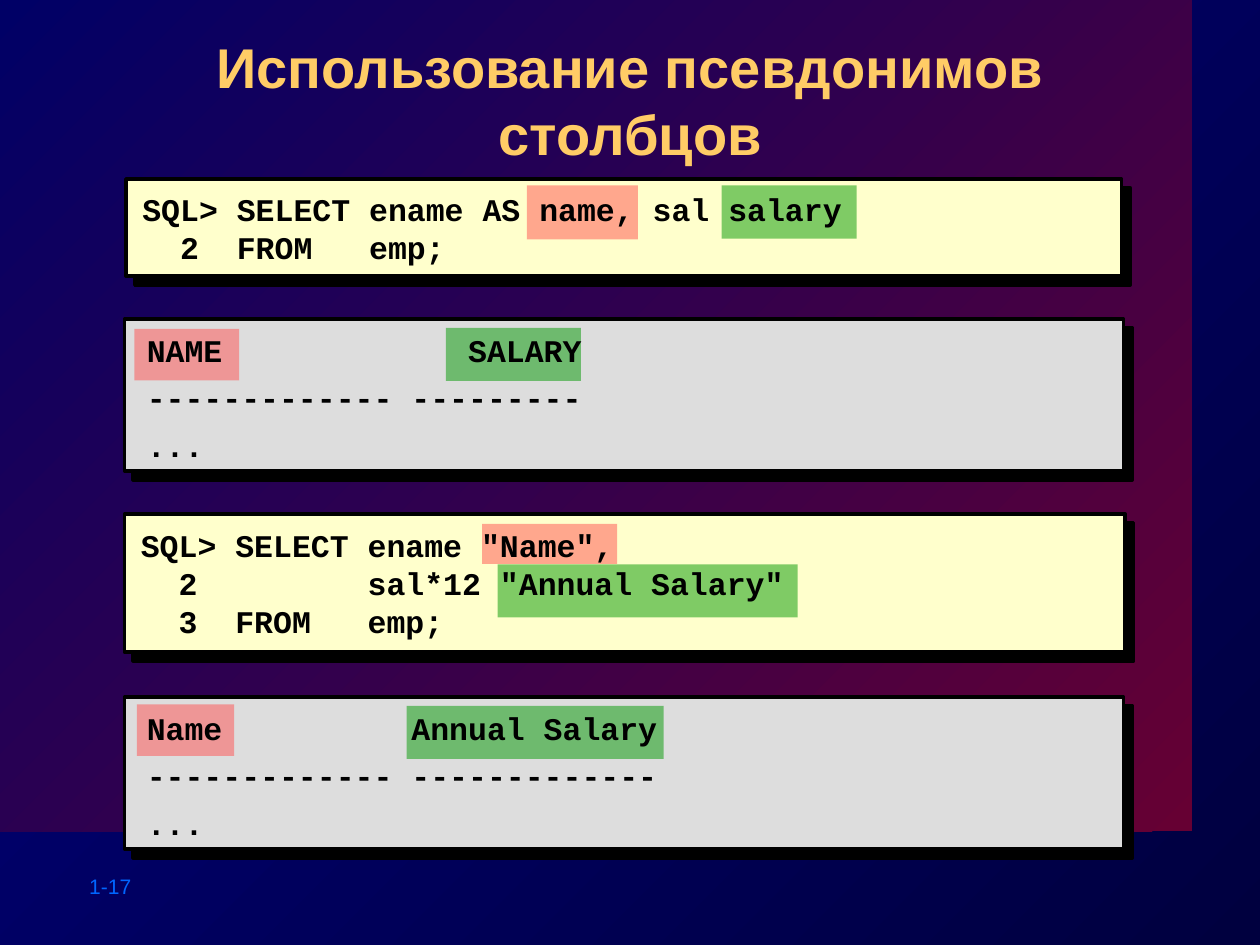
from dataclasses import dataclass

from lxml import etree
from pptx import Presentation
from pptx import util as u
from pptx.dml import color
from pptx.enum import shapes, text
from pptx.oxml import ns


@dataclass(frozen=True)
class Theme:
    night: tuple = ("00003F", "000080")
    wine: tuple = ("660033", "000066")
    code: str = "FFFFCC"
    result: str = "DDDDDD"
    ink: str = "000000"
    title: str = "FFCC66"
    number: str = "0066FF"
    red: str = "FF5050"
    green: str = "009900"
    sans: str = "Arial"
    mono: str = "Courier New"
    title_size: int = 32
    code_size: int = 18
    number_size: int = 12


THEME = Theme()
CODE_FONT = {"name": THEME.mono, "size": u.Pt(THEME.code_size), "bold": True}
TITLE_FONT = {"name": THEME.sans, "size": u.Pt(THEME.title_size), "bold": True}
NUMBER_FONT = {"name": THEME.sans, "size": u.Pt(THEME.number_size), "bold": False}
CODE_FRAME = {"word_wrap": False, "vertical_anchor": text.MSO_ANCHOR.MIDDLE}
RESULT_FRAME = {"word_wrap": False, "auto_size": text.MSO_AUTO_SIZE.SHAPE_TO_FIT_TEXT}


def rgb(value):
    return color.RGBColor.from_string(value)


def apply(target, values):
    for key, value in values.items():
        setattr(target, key, value)


def inside(box, part):
    return box[0] + part[0], box[1] + part[1], part[2], part[3]


def paint_gradient(fill, tones):
    fill.gradient()
    fill.gradient_angle = 135
    for stop, tone in zip(fill.gradient_stops, tones):
        stop.color.rgb = rgb(tone)


def add_shadow(properties, distance):
    effects = properties.find(ns.qn("a:effectLst"))
    if effects is None:
        effects = etree.SubElement(properties, ns.qn("a:effectLst"))
    shadow = etree.SubElement(effects, ns.qn("a:outerShdw"), blurRad="0",
                              dist=str(u.Pt(distance)), dir="2700000",
                              algn="ctr", rotWithShape="0")
    etree.SubElement(shadow, ns.qn("a:srgbClr"), val=THEME.ink)


def add_block(slide, box):
    block = slide.shapes.add_shape(shapes.MSO_SHAPE.RECTANGLE, *map(u.Cm, box))
    block.shadow.inherit = False
    block.line.fill.background()
    return block


def add_words(slide, box, lines, font, tone, frame, paragraph_format):
    words = slide.shapes.add_textbox(*map(u.Cm, box))
    apply(words.text_frame, frame)
    words.text_frame.text = "\n".join(lines)
    for paragraph in words.text_frame.paragraphs:
        apply(paragraph, paragraph_format)
        for run in paragraph.runs:
            apply(run.font, font)
            run.font.color.rgb = rgb(tone)
    return words


def add_backdrop(slide, box):
    paint_gradient(slide.background.fill, THEME.night)
    paint_gradient(add_block(slide, box).fill, THEME.wine)


def add_title(slide, box):
    title = add_words(slide, box, ["Использование псевдонимов столбцов"], TITLE_FONT,
                      THEME.title, {"word_wrap": True},
                      {"alignment": text.PP_ALIGN.CENTER})
    run = title.text_frame.paragraphs[0].runs[0]
    shadow_host = etree.Element(ns.qn("a:rPr"))
    add_shadow(shadow_host, 3)
    run.font.fill
    run_properties = run._r.get_or_add_rPr()
    run_properties.find(ns.qn("a:solidFill")).addnext(shadow_host[0])


def add_page_number(slide, box):
    add_words(slide, box, ["1-17"], NUMBER_FONT, THEME.number, RESULT_FRAME, {})


def add_panel(slide, box, tone, highlights):
    panel = add_block(slide, box)
    panel.fill.solid()
    panel.fill.fore_color.rgb = rgb(tone)
    panel.line.color.rgb = rgb(THEME.ink)
    panel.line.width = u.Pt(2)
    add_shadow(panel._element.spPr, 7.1)
    for marker_tone, part in zip((THEME.red, THEME.green), highlights):
        marker = add_block(slide, inside(box, part))
        marker.fill.solid()
        marker.fill.fore_color.rgb = rgb(marker_tone)
        tint = marker._element.spPr.find(ns.qn("a:solidFill"))[0]
        etree.SubElement(tint, ns.qn("a:alpha"), val="50000")


def add_query(slide, box, lines, highlights):
    add_panel(slide, box, THEME.code, highlights)
    add_words(slide, inside(box, (0.08, -0.04, box[2] + 0.07, box[3] + 0.08)),
              lines, CODE_FONT, THEME.ink, CODE_FRAME, {})


def add_result(slide, box, heading, rule, width, highlights):
    add_panel(slide, box, THEME.result, highlights)
    add_words(slide, inside(box, (0.2, -0.07, width, 3.12)),
              [heading, rule + "\v..."], CODE_FONT, THEME.ink, RESULT_FRAME,
              {"line_spacing": 1.25})


def main():
    deck = Presentation()
    apply(deck, {"slide_width": u.Cm(25.4), "slide_height": u.Cm(19.05)})
    slide = deck.slides.add_slide(deck.slide_layouts[6])
    add_backdrop(slide, (0, 0, 24.03, 16.76))
    add_page_number(slide, (1.55, 17.48, 2.82, 0.76))
    add_title(slide, (2.57, 0.53, 20.27, 2.44))
    add_query(slide, (2.54, 3.61, 20.07, 1.96),
              ["SQL> SELECT ename AS name, sal salary", "  2  FROM   emp;"],
              [(8.08, 0.13, 2.24, 1.09), (12.01, 0.13, 2.72, 1.07)])
    add_result(slide, (2.51, 6.43, 20.14, 3.07),
               "NAME             SALARY", "------------- ---------", 9.27,
               [(0.2, 0.2, 2.11, 1.04), (6.48, 0.18, 2.72, 1.07)])
    add_query(slide, (2.51, 10.36, 20.17, 2.79),
              ['SQL> SELECT ename "Name",', '  2         sal*12 "Annual Salary"',
               "  3  FROM   emp;"],
              [(7.21, 0.2, 2.72, 0.81), (7.52, 1.02, 6.05, 1.07)])
    add_result(slide, (2.51, 14.05, 20.14, 3.07),
               "Name          Annual Salary", "------------- -------------", 10.8,
               [(0.25, 0.15, 1.96, 1.04), (5.69, 0.18, 5.18, 1.07)])
    deck.save("out.pptx")


if __name__ == "__main__":
    main()
